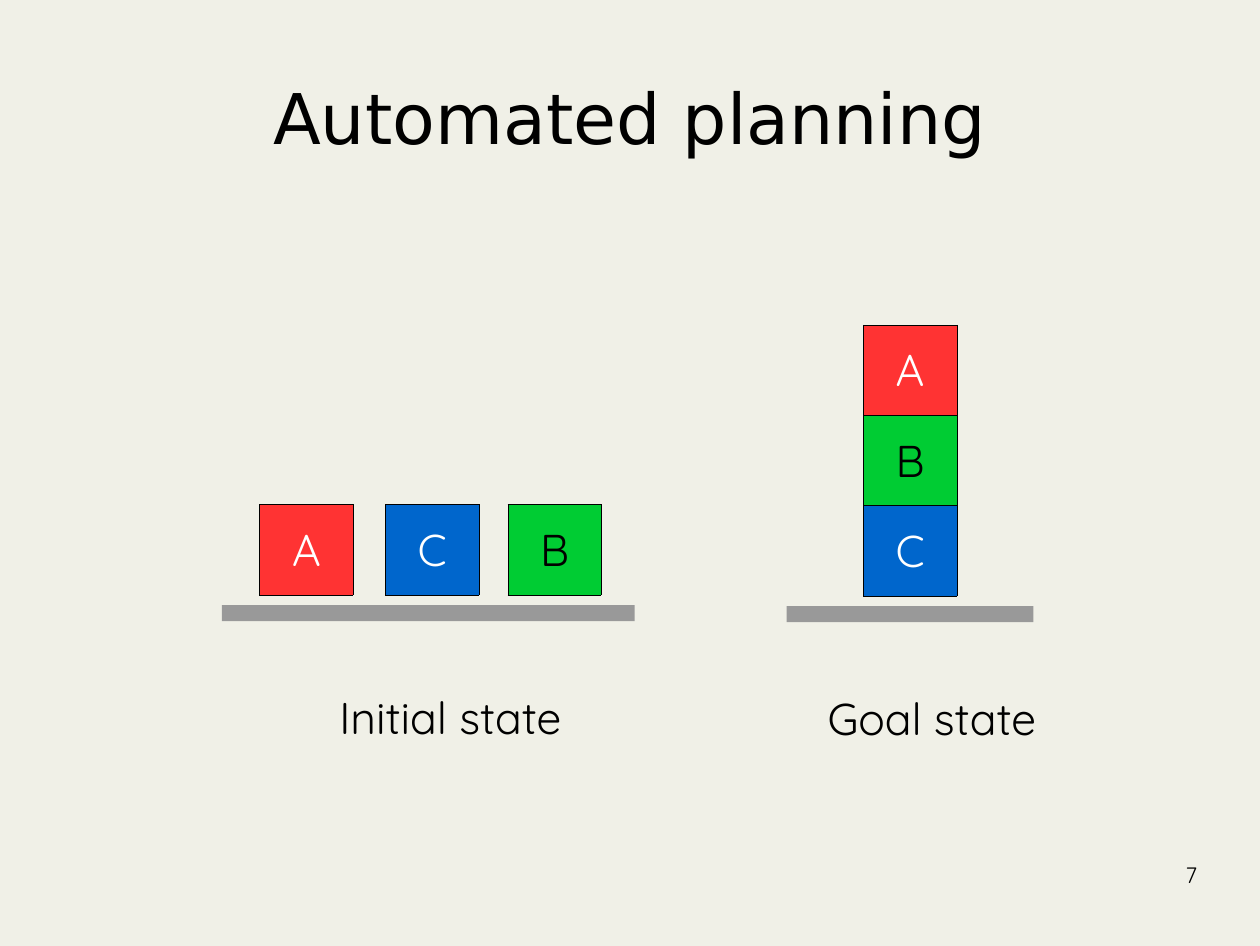
from dataclasses import dataclass

from lxml import etree
from pptx import Presentation
from pptx.dml.color import RGBColor
from pptx.enum.shapes import MSO_SHAPE
from pptx.enum.text import MSO_ANCHOR, PP_ALIGN
from pptx.oxml.ns import qn
from pptx.util import Inches, Pt

RECT = MSO_SHAPE.RECTANGLE
MID, TOP = MSO_ANCHOR.MIDDLE, MSO_ANCHOR.TOP
LEFT, MIDDLE, RIGHT = PP_ALIGN.LEFT, PP_ALIGN.CENTER, PP_ALIGN.RIGHT


@dataclass(frozen=True)
class Theme:
    back: str = "F0F0E7"
    ink: str = "000000"
    white: str = "FFFFFF"
    red: str = "FF3333"
    green: str = "00CC33"
    blue: str = "0066CC"
    gray: str = "999999"
    head: str = "DejaVu Sans"
    body: str = "Quicksand"
    title: int = 44
    label: int = 28
    small: int = 14
    edge: float = 0.06


THEME = Theme()
BLOCKS = {  # fill and text colour
    "A": (THEME.red, THEME.white),
    "B": (THEME.green, THEME.ink),
    "C": (THEME.blue, THEME.white),
}
WIDE, HIGH = 0.82, 0.79  # one block


def paint(fill, color):
    fill.solid()
    fill.fore_color.rgb = RGBColor.from_string(color)


def write(frame, text, size=THEME.label, font=THEME.body, color=THEME.ink,
          align=LEFT, anchor=TOP, wrap=True, inset=(0, 0)):
    frame.word_wrap = wrap
    frame.vertical_anchor = anchor
    frame.margin_left = frame.margin_right = Inches(inset[0])
    frame.margin_top = frame.margin_bottom = Inches(inset[1])
    para = frame.paragraphs[0]
    para.alignment = align
    run = para.add_run()
    run.text = text
    run.font.size = Pt(size)
    run.font.name = font
    run.font.color.rgb = RGBColor.from_string(color)


def outline(cell):
    props = cell._tc.get_or_add_tcPr()
    for spot, side in enumerate(("lnL", "lnR", "lnT", "lnB")):
        line = etree.Element(qn("a:" + side), w=str(Pt(THEME.edge)))
        fill = etree.SubElement(line, qn("a:solidFill"))
        etree.SubElement(fill, qn("a:srgbClr"), val=THEME.ink)
        props.insert(spot, line)


def stack(slide, names, left, base):
    """Place a tower of blocks, top to bottom, standing on base."""
    tall = HIGH * len(names)
    grid = slide.shapes.add_table(len(names), 1, Inches(left), Inches(base - tall),
                                  Inches(WIDE), Inches(tall)).table
    grid.first_row = grid.horz_banding = False
    for row, name in enumerate(names):
        fill, color = BLOCKS[name]
        cell = grid.cell(row, 0)
        paint(cell.fill, fill)
        outline(cell)
        cell.vertical_anchor = MID
        write(cell.text_frame, name, color=color, align=MIDDLE, inset=(0.1, 0.05))


def state(slide, box, towers, label, shift, width):
    """Draw towers on a table top, with a caption below."""
    left, top, wide, high = box
    for dx, names in towers:
        stack(slide, names, left + dx, top - 0.09)
    bar = slide.shapes.add_shape(RECT, *map(Inches, box))
    bar.shadow.inherit = False
    paint(bar.fill, THEME.gray)
    bar.line.fill.background()
    note = slide.shapes.add_textbox(Inches(left + shift), Inches(top + 0.69),
                                    Inches(width), Inches(0.63))
    write(note.text_frame, label, wrap=False, inset=(0.1, 0.05))


def title(slide, box, text):
    head = slide.shapes.title
    head.left, head.top, head.width, head.height = map(Inches, box)
    write(head.text_frame, text, size=THEME.title, font=THEME.head,
          align=MIDDLE, anchor=MID)


def number(slide, box, text):
    note = slide.shapes.add_textbox(*map(Inches, box))
    write(note.text_frame, text, size=THEME.small, align=RIGHT)


def main():
    deck = Presentation()
    deck.slide_width, deck.slide_height = Inches(11.02), Inches(8.27)
    slide = deck.slides.add_slide(deck.slide_layouts[5])
    paint(slide.background.fill, THEME.back)

    title(slide, (0.55, 0.33, 9.92, 1.38), "Automated planning")

    # Start: three single blocks
    state(slide, (1.94, 5.29, 3.61, 0.14),
          [(0.33, "A"), (1.43, "C"), (2.5, "B")], "Initial state", 0.93, 2.23)

    # Goal: one tower
    state(slide, (6.88, 5.3, 2.16, 0.14), [(0.67, "ABC")], "Goal state", 0.26, 2.04)

    number(slide, (7.9, 7.53, 2.57, 0.57), "7")
    deck.save("out.pptx")


if __name__ == "__main__":
    main()
